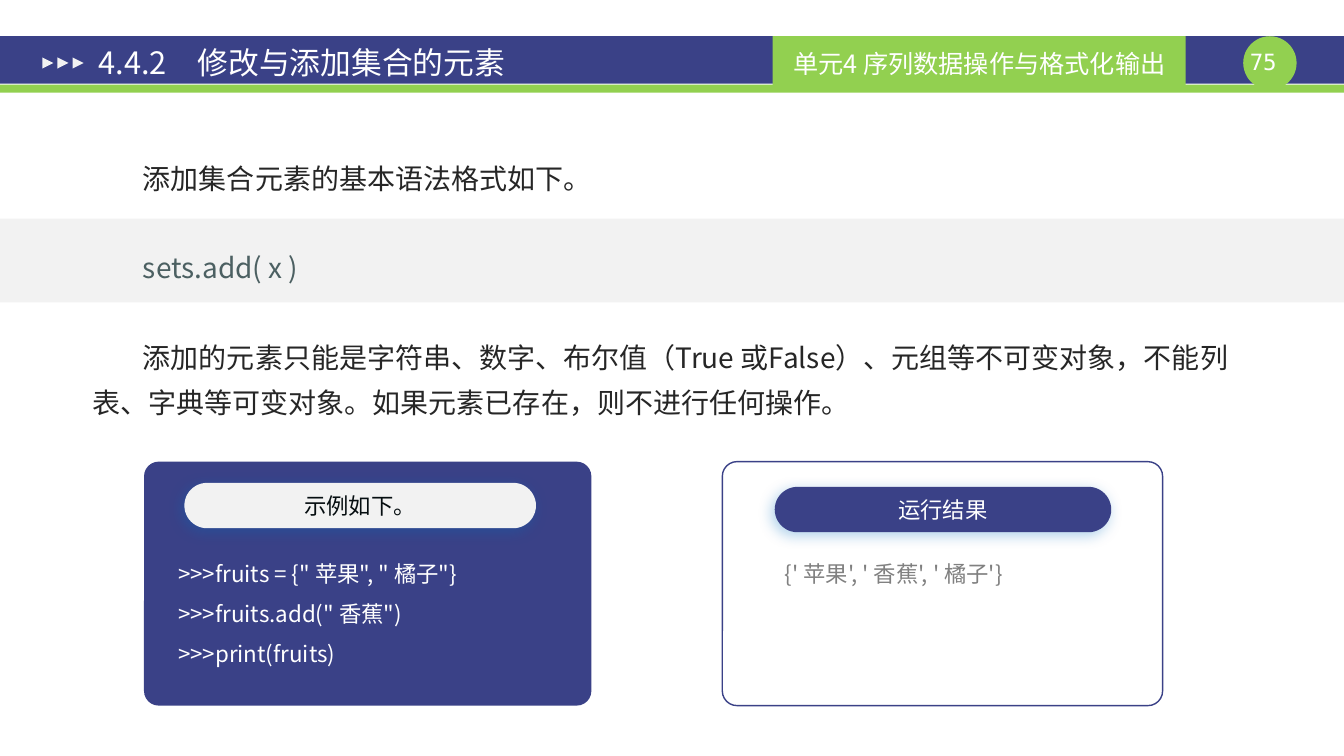
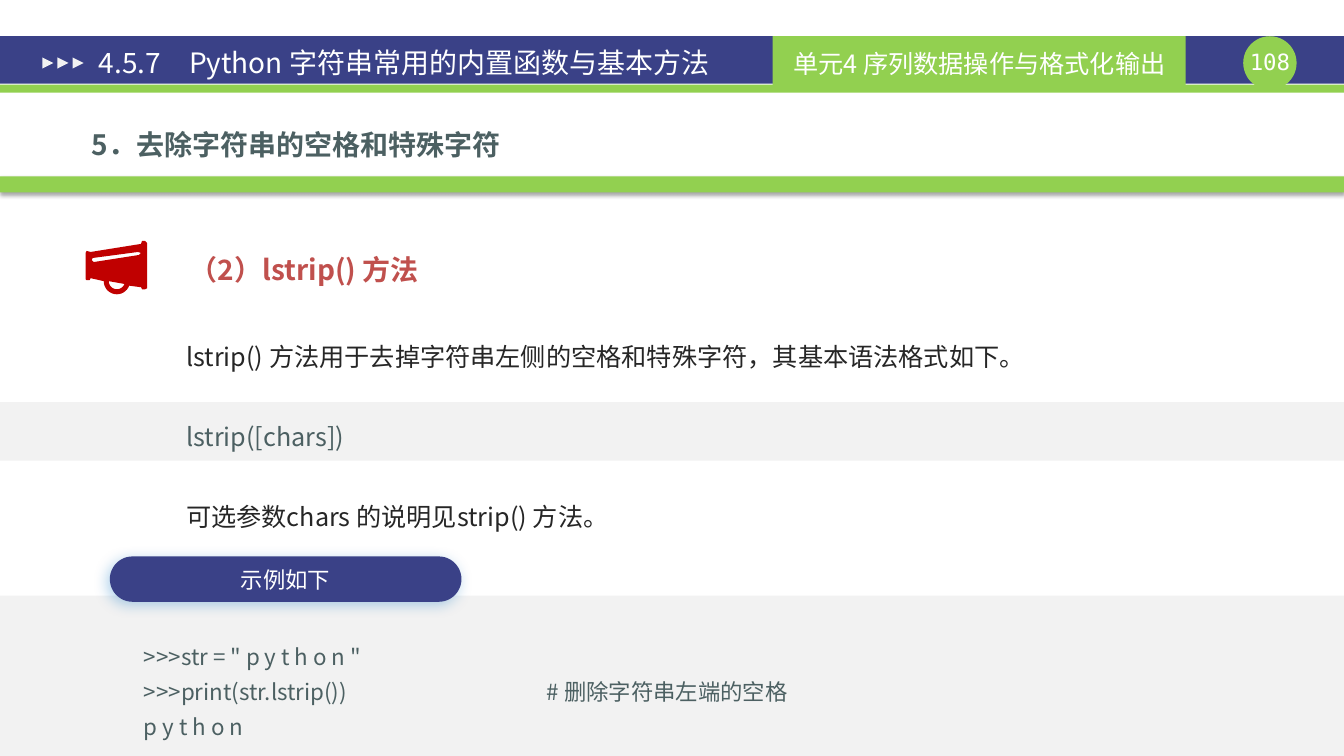
from math import cos, radians, sin

from lxml.etree import SubElement
from pptx import Presentation
from pptx.dml.color import RGBColor
from pptx.enum.shapes import MSO_SHAPE
from pptx.enum.text import MSO_ANCHOR, PP_ALIGN
from pptx.oxml.ns import qn
from pptx.util import Emu, Pt

# Lengths: 100 px to the inch
EMU_PER_PX = 9144
WIDTH, HEIGHT = 1334, 750

BLUE = RGBColor(0x3A, 0x41, 0x87)
GREEN = RGBColor(0x92, 0xD0, 0x50)
PALE = RGBColor(0xF2, 0xF2, 0xF2)
WHITE = RGBColor(0xFF, 0xFF, 0xFF)
INK = RGBColor(0x26, 0x26, 0x26)
NEAR_BLACK = RGBColor(0x06, 0x0E, 0x11)
SLATE = RGBColor(0x4C, 0x60, 0x62)
GRAY = RGBColor(0x80, 0x80, 0x80)
RED = RGBColor(0xC0, 0x00, 0x00)
SOFT_RED = RGBColor(0xC0, 0x50, 0x4D)

FONT = "Noto Sans CJK SC"
NUMBER_FONT = "DejaVu Sans Mono"
UNIT = "单元4 序列数据操作与格式化输出"

# Shadows: colour, opacity %, blur pt, distance pt, direction degrees
GLOW = ("0070C0", 30, 10, 3, 135)
DROP = ("000000", 35, 3.1, 1.8, 90)


def px(value):
    return Emu(round(value * EMU_PER_PX))


def write(frame, text, size=16, color=INK, font=FONT, bold=False,
          align=None, pitch=None, before=0, indent=0, tab=None):
    """Add one paragraph to the frame, using its first one if still empty."""
    paragraph = frame.paragraphs[0]
    if paragraph.runs:
        paragraph = frame.add_paragraph()
        if before:
            paragraph.space_before = Pt(before)
    properties = paragraph._p.get_or_add_pPr()
    if indent:
        properties.set("indent", str(px(indent)))
    if tab:
        stops = SubElement(properties, qn("a:tabLst"))
        SubElement(stops, qn("a:tab"), pos=str(px(tab)), algn="l")
    if pitch:
        paragraph.line_spacing = Pt(pitch)
    if align is not None:
        paragraph.alignment = align
    run = paragraph.add_run()
    run.text = text
    run.font.size = Pt(size)
    run.font.bold = bold
    run.font.color.rgb = color
    run.font.name = font
    SubElement(run._r.get_or_add_rPr(), qn("a:ea"), typeface=font)


def arc(center_x, center_y, radius, start, end, step=10):
    return [(center_x + radius * cos(radians(angle)),
             center_y + radius * sin(radians(angle)))
            for angle in range(start, end - 1, -step)]


class Deck:
    def __init__(self):
        self.presentation = Presentation()
        self.presentation.slide_width = px(WIDTH)
        self.presentation.slide_height = px(HEIGHT)
        self.slide = None

    # Basic elements
    def paint(self, shape, fill=None, line=None, shadow=None):
        shape.shadow.inherit = False
        if fill is None:
            shape.fill.background()
        else:
            shape.fill.solid()
            shape.fill.fore_color.rgb = fill
        if line is None:
            shape.line.fill.background()
        else:
            shape.line.color.rgb = line
            shape.line.width = Pt(1)
        if shadow:
            color, opacity, blur, distance, direction = shadow
            effects = shape._element.spPr.find(qn("a:effectLst"))
            outer = SubElement(effects, qn("a:outerShdw"), blurRad=str(Pt(blur)),
                               dist=str(Pt(distance)), dir=str(direction * 60000),
                               algn="ctr", rotWithShape="0")
            tint = SubElement(outer, qn("a:srgbClr"), val=color)
            SubElement(tint, qn("a:alpha"), val=str(opacity * 1000))

    def shape(self, kind, left, top, width, height, **style):
        shape = self.slide.shapes.add_shape(
            kind, px(left), px(top), px(width), px(height))
        self.paint(shape, **style)
        return shape

    def band(self, top, height, fill=PALE, **style):
        return self.shape(MSO_SHAPE.RECTANGLE, 0, top, WIDTH, height, fill=fill, **style)

    def label(self, shape, text, **style):
        shape.text_frame.vertical_anchor = MSO_ANCHOR.MIDDLE
        write(shape.text_frame, text, align=PP_ALIGN.CENTER, **style)

    def text_box(self, left, top, width, height, insets=(10, 5),
                 anchor=MSO_ANCHOR.TOP, wrap=True):
        box = self.slide.shapes.add_textbox(px(left), px(top), px(width), px(height))
        frame = box.text_frame
        frame.word_wrap = wrap
        frame.vertical_anchor = anchor
        frame.margin_left = frame.margin_right = px(insets[0])
        frame.margin_top = frame.margin_bottom = px(insets[1])
        return frame

    # Recurring elements
    def card(self, left, width, **style):
        card = self.shape(MSO_SHAPE.ROUNDED_RECTANGLE, left, 458, width, 242, **style)
        card.adjustments[0] = 0.06

    def pill(self, left, top, width, text, fill=BLUE, color=WHITE):
        pill = self.shape(MSO_SHAPE.ROUNDED_RECTANGLE, left, top, width, 45,
                          fill=fill, shadow=GLOW)
        pill.adjustments[0] = 0.5
        self.label(pill, text, color=color)

    def body(self, left, top, height, paragraphs, size, pitch):
        """Paragraphs set one blank line apart."""
        frame = self.text_box(left, top, 1151, height)
        for text, color in paragraphs:
            write(frame, text, size=size, color=color, pitch=pitch,
                  before=pitch, indent=50)

    def code(self, left, top, width, height, lines, color, pitch, tab=None):
        frame = self.text_box(left, top, width, height)
        for line in lines:
            write(frame, line, color=color, pitch=pitch, tab=tab)

    def megaphone(self):
        horn = [(144, 239), (141, 239), (140, 242), (90, 250), (86, 249),
                (85, 251), (85, 277), (86, 278), (89, 278), (90, 276),
                *arc(116, 279, 13, 180, 20),
                (140, 285), (141, 287), (144, 287), (146, 286), (146, 241)]
        handle_hole = arc(116, 279, 8, 180, 20)
        slit = [(137, 250), (92, 256), (91, 258), (93, 260), (138, 253), (140, 251)]
        builder = None
        for contour in (horn, handle_hole, slit):
            first, *others = [(px(x), px(y)) for x, y in contour]
            if builder is None:
                builder = self.slide.shapes.build_freeform(*first, scale=1.0)
            else:
                builder.move_to(*first)
            builder.add_line_segments(others, close=True)
        self.paint(builder.convert_to_shape(), fill=RED)

    # Slide frame: header bands, page number, unit tag, arrows and title
    def new_slide(self, title, number, title_size):
        layout = self.presentation.slide_layouts[6]
        self.slide = self.presentation.slides.add_slide(layout)
        self.band(36, 47, BLUE)
        self.band(84, 8, GREEN)
        self.shape(MSO_SHAPE.OVAL, 1234, 36, 53, 53, fill=GREEN)
        write(self.text_box(1234, 48, 53, 27, insets=(0, 0)), f"{number} ",
              color=WHITE, font=NUMBER_FONT, align=PP_ALIGN.CENTER)
        tag = self.shape(MSO_SHAPE.RECTANGLE, 767, 36, 410, 54, fill=GREEN)
        self.label(tag, UNIT, size=18, color=WHITE)
        for index in range(3):
            arrow = self.shape(MSO_SHAPE.ISOSCELES_TRIANGLE, 42 + 15 * index, 57,
                               11, 11, fill=PALE)
            arrow.rotation = 90
        write(self.text_box(85, 40, 807, 44, insets=(13, 7), anchor=MSO_ANCHOR.MIDDLE),
              title, size=title_size, color=WHITE)


def add_set_slide(deck):
    deck.new_slide("4.4.2　修改与添加集合的元素", 75, title_size=22)

    # Syntax and explanation
    deck.band(217, 83)
    deck.body(82, 144, 277, [
        ("添加集合元素的基本语法格式如下。", INK),
        ("sets.add( x )", SLATE),
        ("添加的元素只能是字符串、数字、布尔值（True 或False）、元组等不可变对象，"
         "不能列表、字典等可变对象。如果元素已存在，则不进行任何操作。", INK),
    ], size=20, pitch=32)

    # Example and result cards
    deck.card(143, 444, fill=BLUE)
    deck.card(717, 437, line=BLUE)
    deck.code(167, 538, 406, 131, [
        '>>>fruits = {" 苹果", " 橘子"}',
        '>>>fruits.add(" 香蕉")',
        ">>>print(fruits)",
    ], WHITE, pitch=28.6)
    deck.pill(183, 479, 349, "示例如下。", fill=PALE, color=NEAR_BLACK)
    deck.code(769, 538, 376, 46, ["{' 苹果', ' 香蕉', ' 橘子'}"], GRAY, pitch=28.6)
    deck.pill(769, 483, 334, "运行结果")


def add_lstrip_slide(deck):
    deck.new_slide("4.5.7　Python 字符串常用的内置函数与基本方法", 108, title_size=20)

    # Section heading
    deck.band(175, 16, GREEN, shadow=DROP)
    write(deck.text_box(31, 110, 1248, 50), "5．去除字符串的空格和特殊字符",
          size=20, color=SLATE, bold=True, pitch=32, indent=50)

    # Method heading
    deck.megaphone()
    write(deck.text_box(146, 241, 312, 52, insets=(0, 0),
                        anchor=MSO_ANCHOR.MIDDLE, wrap=False),
          "（2）lstrip() 方法", size=20, color=SOFT_RED, bold=True,
          align=PP_ALIGN.CENTER)

    # Syntax and explanation
    deck.band(399, 58)
    deck.body(125, 324, 210, [
        ("lstrip() 方法用于去掉字符串左侧的空格和特殊字符，其基本语法格式如下。", INK),
        ("lstrip([chars])", SLATE),
        ("可选参数chars 的说明见strip() 方法。", INK),
    ], size=18, pitch=28.6)

    # Example
    deck.band(591, 159)
    deck.code(133, 625, 818, 115, [
        '>>>str = " p y t h o n "',
        ">>>print(str.lstrip())\t# 删除字符串左端的空格",
        "p y t h o n",
    ], SLATE, pitch=25, tab=400)
    deck.pill(109, 552, 349, "示例如下")


def main():
    deck = Deck()
    add_set_slide(deck)
    add_lstrip_slide(deck)
    deck.presentation.save("out.pptx")


if __name__ == "__main__":
    main()
